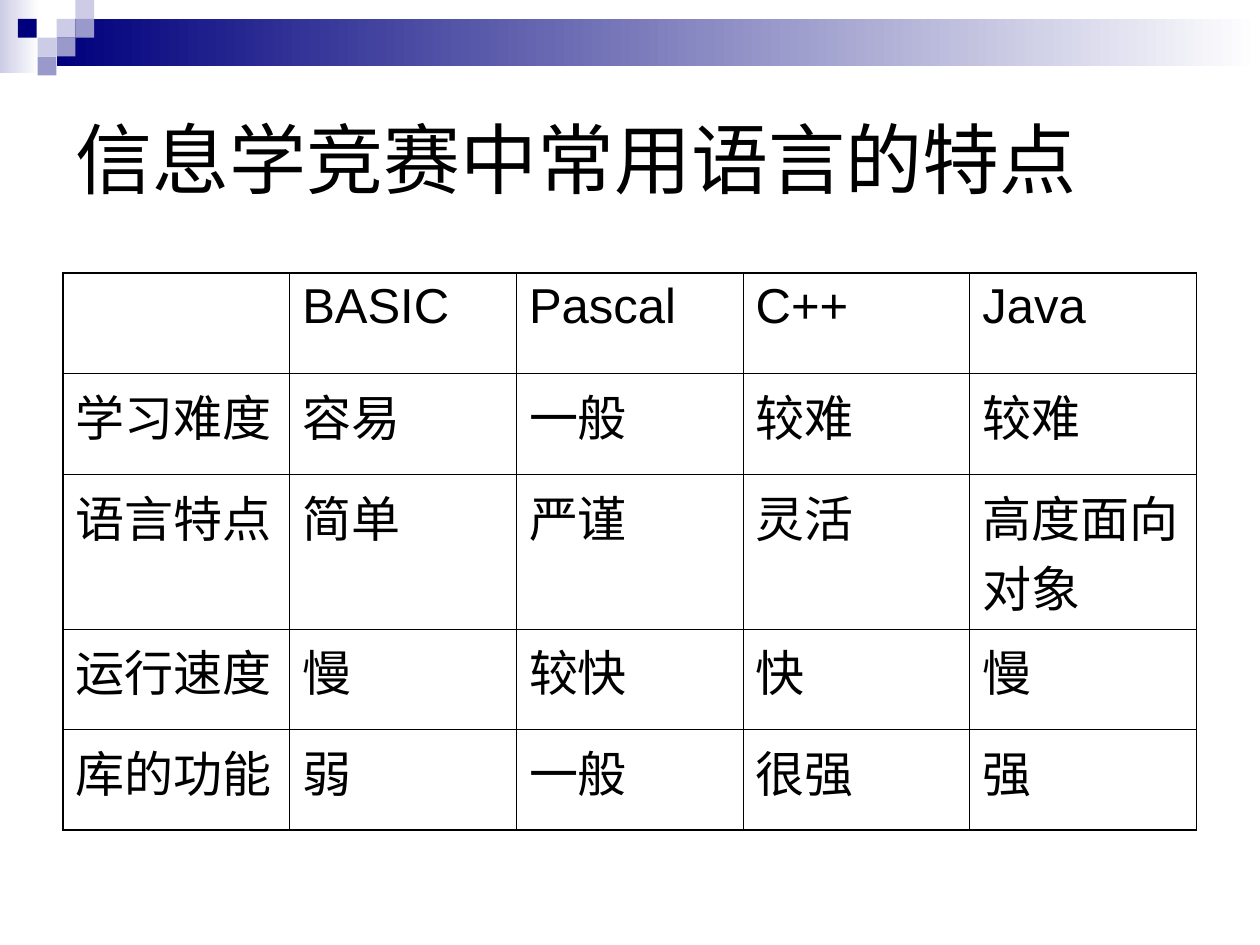
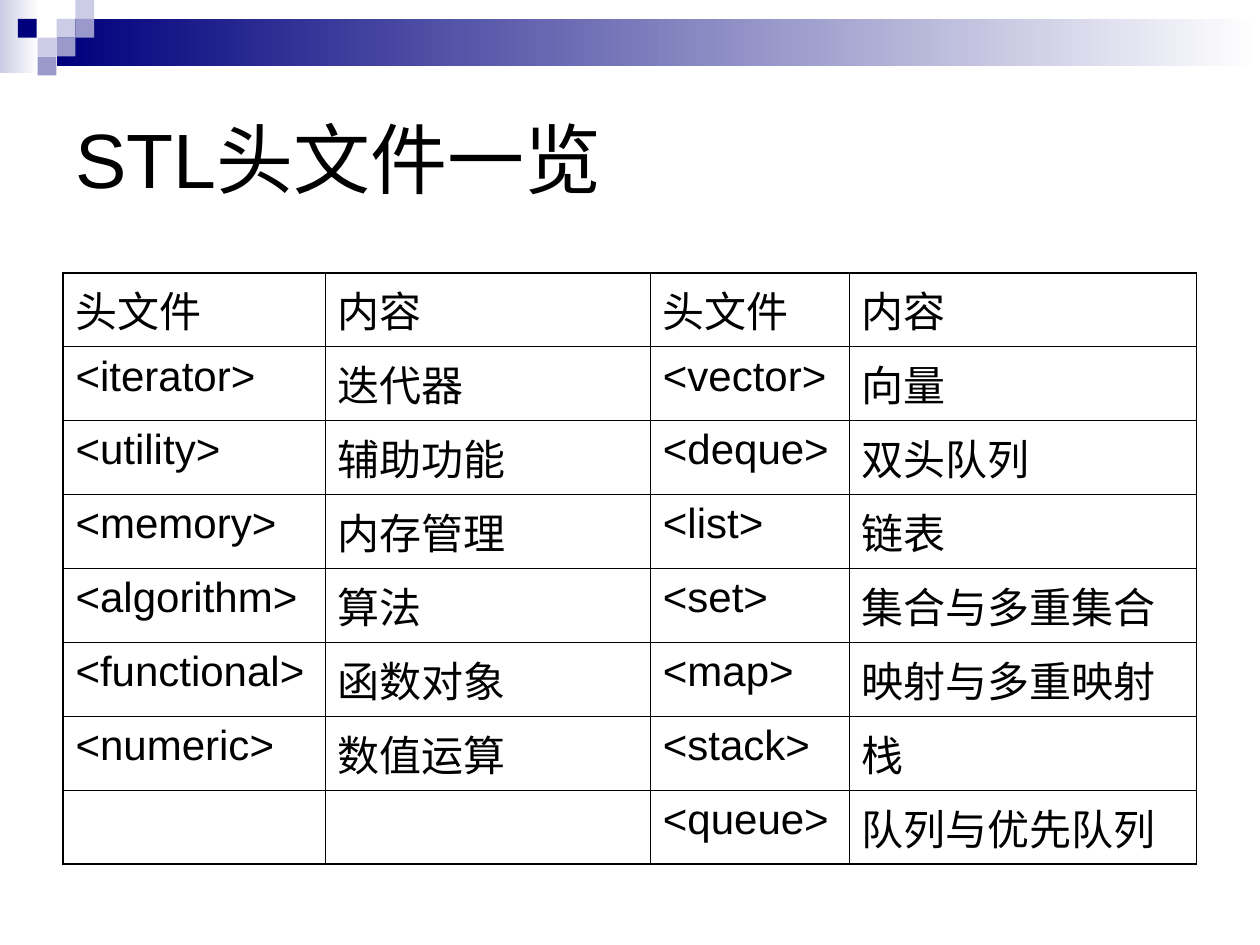
"""Builds two slides on contest languages and the STL headers."""
from dataclasses import dataclass

from lxml import etree
from pptx import Presentation
from pptx import util as u
from pptx.dml.color import RGBColor
from pptx.enum import shapes, text
from pptx.oxml import ns

HUES = {"ink": "000000", "paper": "FFFFFF", "navy": "00007D",
        "mist": "CCCCE6", "haze": "9999CC"}
FONT = "Arial"
TILE = 0.38
THIN, THICK = 0.45, 1.08


@dataclass(frozen=True)
class Box:
    left: float
    top: float
    width: float
    height: float
    hue: str
    fade: bool = False

    def place(self) -> tuple:
        return tuple(u.Cm(n) for n in (self.left, self.top, self.width, self.height))


@dataclass(frozen=True)
class Grid:
    title: str
    cols: list[float]
    rows: list[float]
    size: int
    gap: int
    cells: list[list[str]]


def tile(col: float, row: int, hue: str) -> Box:
    return Box(col * TILE, row * TILE, TILE, TILE, hue)


BAND = [
    Box(0, 0, 0.79, 1.47, "mist", True),
    Box(1.14, 0.38, 24.26, 0.95, "navy", True),
    tile(3, 1, "mist"),
    tile(4, 0, "mist"),
    tile(4, 1, "haze"),
    tile(2, 2, "mist"),
    tile(0.95, 1, "navy"),
    tile(3, 2, "haze"),
    tile(2, 3, "haze"),
]

GRIDS = [
    Grid("信息学竞赛中常用语言的特点", [4.57] * 5, [2.03, 2.03, 3.12, 2.03, 2.03], 28, 7, [
        ["", "BASIC", "Pascal", "C++", "Java"],
        ["学习难度", "容易", "一般", "较难", "较难"],
        ["语言特点", "简单", "严谨", "灵活", "高度面向对象"],
        ["运行速度", "慢", "较快", "快", "慢"],
        ["库的功能", "弱", "一般", "很强", "强"],
    ]),
    Grid("STL头文件一览", [5.28, 6.56, 4.01, 7], [1.49] * 8, 24, 6, [
        ["头文件", "内容", "头文件", "内容"],
        ["<iterator>", "迭代器", "<vector>", "向量"],
        ["<utility>", "辅助功能", "<deque>", "双头队列"],
        ["<memory>", "内存管理", "<list>", "链表"],
        ["<algorithm>", "算法", "<set>", "集合与多重集合"],
        ["<functional>", "函数对象", "<map>", "映射与多重映射"],
        ["<numeric>", "数值运算", "<stack>", "栈"],
        ["", "", "<queue>", "队列与优先队列"],
    ]),
]


def shade(name: str) -> RGBColor:
    return RGBColor.from_string(HUES[name])


def style(para, size: int) -> None:
    para.alignment = text.PP_ALIGN.LEFT
    para.font.name = FONT
    para.font.size = u.Pt(size)
    para.font.color.rgb = shade("ink")


def draw_box(slide, box: Box) -> None:
    shape = slide.shapes.add_shape(shapes.MSO_SHAPE.RECTANGLE, *box.place())
    shape.shadow.inherit = False
    shape.line.fill.background()
    if box.fade:
        shape.fill.gradient()
        shape.fill.gradient_angle = 0
        for stop, hue in zip(shape.fill.gradient_stops, (box.hue, "paper")):
            stop.color.rgb = shade(hue)
    else:
        shape.fill.solid()
        shape.fill.fore_color.rgb = shade(box.hue)


def draw_title(slide, words: str) -> None:
    title = slide.shapes.title
    title.left, title.top = u.Cm(1.27), u.Cm(1.27)
    title.width, title.height = u.Cm(22.86), u.Cm(3.81)
    frame = title.text_frame
    frame.text = words
    frame.auto_size = text.MSO_AUTO_SIZE.NONE
    frame.vertical_anchor = text.MSO_ANCHOR.MIDDLE
    style(frame.paragraphs[0], 44)


def edge(cell, side: str, width: float) -> None:
    line = etree.SubElement(cell._tc.get_or_add_tcPr(), ns.qn(f"a:ln{side}"),
                            w=str(u.Pt(width)))
    fill = etree.SubElement(line, ns.qn("a:solidFill"))
    etree.SubElement(fill, ns.qn("a:srgbClr"), val=HUES["ink"])


def draw_grid(slide, grid: Grid) -> None:
    rows, cols = len(grid.rows), len(grid.cols)
    table = slide.shapes.add_table(
        rows, cols, u.Cm(1.27), u.Cm(5.5),
        u.Cm(sum(grid.cols)), u.Cm(sum(grid.rows))).table
    table.first_row = table.horz_banding = False
    for col, width in zip(table.columns, grid.cols):
        col.width = u.Cm(width)
    for row, height in zip(table.rows, grid.rows):
        row.height = u.Cm(height)
    for r, line in enumerate(grid.cells):
        for c, words in enumerate(line):
            cell = table.cell(r, c)
            outer = {"L": c == 0, "R": c == cols - 1, "T": r == 0, "B": r == rows - 1}
            for side, rim in outer.items():
                edge(cell, side, THICK if rim else THIN)
            cell.fill.background()
            cell.text = words
            para = cell.text_frame.paragraphs[0]
            para.space_before = u.Pt(grid.gap)
            style(para, grid.size)


def main() -> None:
    deck = Presentation()
    deck.slide_width, deck.slide_height = u.Cm(25.4), u.Cm(19.05)
    for grid in GRIDS:
        slide = deck.slides.add_slide(deck.slide_layouts[5])
        for box in BAND:
            draw_box(slide, box)
        draw_title(slide, grid.title)
        draw_grid(slide, grid)
    deck.save("out.pptx")


if __name__ == "__main__":
    main()
